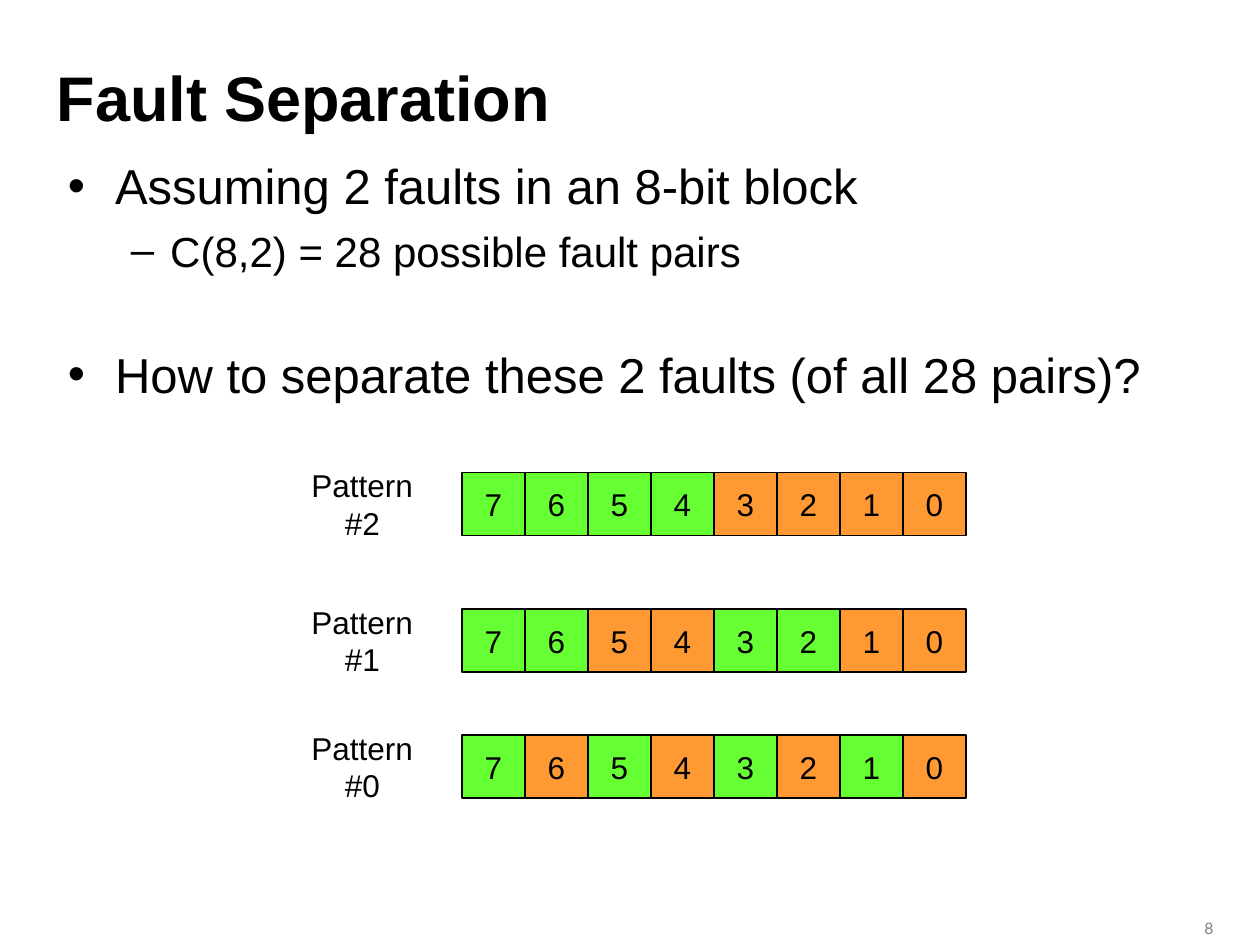
from lxml import etree
from pptx import Presentation
from pptx.dml.color import RGBColor
from pptx.enum.shapes import MSO_SHAPE
from pptx.enum.text import MSO_ANCHOR as Anchor, PP_ALIGN as Align
from pptx.oxml.ns import qn
from pptx.util import Pt

COLORS = {"text": "000000", "number": "808080", "line": "000000",
          "one": "66FF33", "zero": "FF9933"}
BITS = 8
CELL = 36


def color(name):
    return RGBColor.from_string(COLORS[name])


def style(paragraph, size, name="text", family="Arial", bold=False, align=Align.LEFT):
    paragraph.alignment = align
    font = paragraph.font
    font.size, font.name, font.bold = Pt(size), family, bold
    font.color.rgb = color(name)


def add_text(slide, text, left, top, width, height, anchor=Anchor.TOP, **look):
    box = slide.shapes.add_textbox(Pt(left), Pt(top), Pt(width), Pt(height))
    frame = box.text_frame
    frame.word_wrap = False
    frame.vertical_anchor = anchor
    frame.text = text
    style(frame.paragraphs[0], **look)


def add_title(slide, text, left, top, width, height):
    title = slide.shapes.title
    title.left, title.top, title.width, title.height = map(Pt, (left, top, width, height))
    title.text_frame.text = text
    title.text_frame.vertical_anchor = Anchor.MIDDLE
    style(title.text_frame.paragraphs[0], 36, bold=True)


def add_bullets(slide, items, left, top, width, height):
    box = slide.shapes.add_textbox(Pt(left), Pt(top), Pt(width), Pt(height))
    frame = box.text_frame
    frame.word_wrap = True
    levels = [("•", 28, 27, 27), ("–", 24, 58.5, 22.5)]
    for index, (level, text, space) in enumerate(items):
        paragraph = frame.paragraphs[0] if index == 0 else frame.add_paragraph()
        mark, size, margin, hanging = levels[level]
        paragraph.text = text
        paragraph.level = level
        paragraph.space_before = Pt(space)
        properties = paragraph._p.get_or_add_pPr()
        properties.set("marL", str(Pt(margin)))
        properties.set("indent", str(-Pt(hanging)))
        etree.SubElement(properties, qn("a:buFont"), typeface="Arial")
        etree.SubElement(properties, qn("a:buChar"), char=mark)
        style(paragraph, size)


def add_pattern(slide, pattern, left, top):
    add_text(slide, f"Pattern #{pattern}", left, top, 90, CELL,
             anchor=Anchor.MIDDLE, size=18, align=Align.CENTER)
    for column, bit in enumerate(reversed(range(BITS))):
        cell = slide.shapes.add_shape(
            MSO_SHAPE.RECTANGLE, Pt(left + 102 + column * CELL), Pt(top), Pt(CELL), Pt(CELL))
        cell.shadow.inherit = False
        cell.fill.solid()
        cell.fill.fore_color.rgb = color("one" if bit >> pattern & 1 else "zero")
        cell.line.color.rgb = color("line")
        cell.line.width = Pt(0.75)
        cell.text_frame.text = str(bit)
        cell.text_frame.vertical_anchor = Anchor.MIDDLE
        style(cell.text_frame.paragraphs[0], 18, align=Align.CENTER)


def main():
    presentation = Presentation()
    presentation.slide_width, presentation.slide_height = Pt(720), Pt(540)
    slide = presentation.slides.add_slide(presentation.slide_layouts[5])
    add_title(slide, "Fault Separation", 25.2, 25.2, 648, 60)
    add_bullets(slide, [
        (0, "Assuming 2 faults in an 8-bit block", 0),
        (1, "C(8,2) = 28 possible fault pairs", 6),
        (0, "How to separate these 2 faults (of all 28 pairs)?", 39.5),
    ], 31.7, 85.5, 657.4, 154)
    for pattern, top in ((2, 270), (1, 348), (0, 420)):
        add_pattern(slide, pattern, 162, top)
    add_text(slide, "8", 653, 521.3, 47.5, 12.2, size=9, name="number",
             family="Lato", align=Align.RIGHT)
    presentation.save("out.pptx")


if __name__ == "__main__":
    main()
